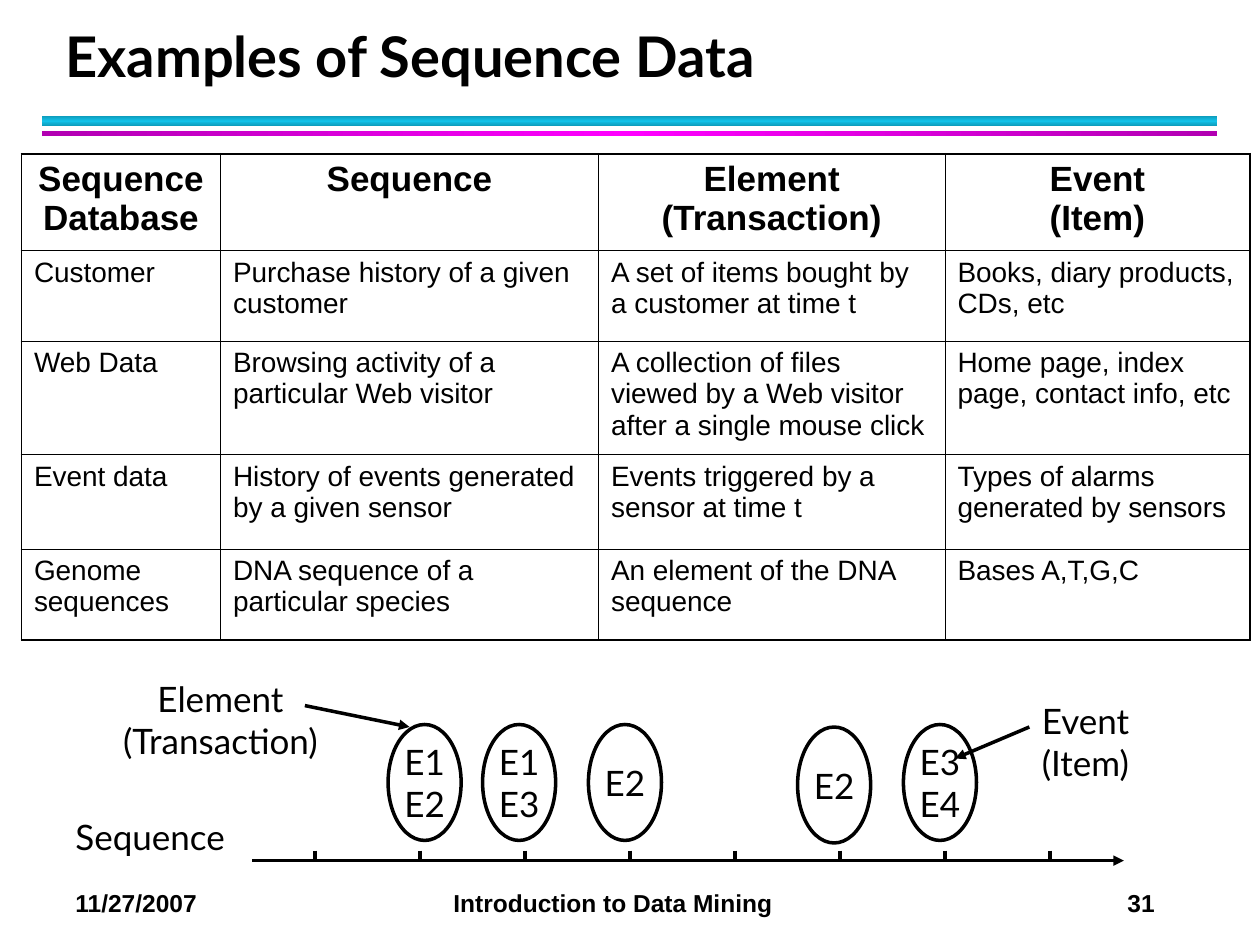
from copy import deepcopy

from lxml import etree
from pptx import Presentation
from pptx.dml.color import RGBColor
from pptx.enum.shapes import MSO_CONNECTOR, MSO_SHAPE
from pptx.enum.text import MSO_ANCHOR, PP_ALIGN
from pptx.oxml.ns import qn
from pptx.util import Inches, Pt

LEFT, CENTER = PP_ALIGN.LEFT, PP_ALIGN.CENTER
TOP, MIDDLE, BOTTOM = MSO_ANCHOR.TOP, MSO_ANCHOR.MIDDLE, MSO_ANCHOR.BOTTOM
BLACK = "000000"
THIN, THICK = 0.45, 1.08

TITLE = "Examples of Sequence Data"
FOOTER = "11/27/2007\tIntroduction to Data Mining\t31"
FOOTER_TABS = (3, 8.35)
BANDS = [
    (0.92, 0.08, 90, ("0E9BBA", "12C2E9", "0E9BBA")),
    (1.04, 0.04, 0, ("B200B2", "FF00FF", "B200B2")),
]
TABLE = [
    ("Sequence Database", "Sequence", "Element (Transaction)", "Event\n(Item)"),
    ("Customer", "Purchase history of a given customer",
     "A set of items bought by a customer at time t", "Books, diary products, CDs, etc"),
    ("Web Data", "Browsing activity of a particular Web visitor",
     "A collection of files viewed by a Web visitor after a single mouse click",
     "Home page, index page, contact info, etc"),
    ("Event data", "History of events generated by a given sensor",
     "Events triggered by a sensor at time t", "Types of alarms generated by sensors"),
    ("Genome sequences", "DNA sequence of a particular species",
     "An element of the DNA sequence", "Bases A,T,G,C"),
]
COL_WIDTHS = (1.58, 3, 2.75, 2.42)
ROW_HEIGHTS = (0.77, 0.72, 0.9, 0.75, 0.72)
LABELS = [
    ("Sequence", (0.5, 6.42, 1.67, 0.44), LEFT),
    ("Element (Transaction)", (0.75, 5.33, 2, 0.77), CENTER),
    ("Event\n(Item)", (8.17, 5.5, 1.08, 0.77), LEFT),
]
ELEMENTS = [
    (3.08, 5.75, "E1\nE2"),
    (3.83, 5.75, "E1\nE3"),
    (4.67, 5.75, "E2"),
    (7.17, 5.75, "E3\nE4"),
    (6.33, 5.77, "E2"),
]
AXIS_Y = 6.83
TICK_START, TICK_STEP, TICK_HEIGHT, TICK_COUNT = 2.5, 5 / 6, 0.08, 8
ARROWS = [
    (2, AXIS_Y, 8.92, AXIS_Y),
    (2.42, 5.6, 3.25, 5.77),
    (8.17, 5.77, 7.58, 6.02),
]


def color(value):
    return RGBColor.from_string(value)


def inches(*values):
    return [Inches(v) for v in values]


def write(tf, text, size=20, font="Lato", bold=False, align=LEFT,
          anchor=TOP, wrap=True, spacing=None, tabs=()):
    tf.word_wrap = wrap
    tf.vertical_anchor = anchor
    p = tf.paragraphs[0]
    p.text = text
    p.alignment = align
    if spacing:
        p.line_spacing = Pt(spacing)
    if tabs:
        tab_list = etree.SubElement(p._p.get_or_add_pPr(), qn("a:tabLst"))
        for pos in tabs:
            etree.SubElement(tab_list, qn("a:tab"), pos=str(Inches(pos)), algn="l")
    for r in p.runs:
        r.font.size = Pt(size)
        r.font.name = font
        r.font.bold = bold
        r.font.color.rgb = color(BLACK)


def add_text(slide, text, box, **style):
    write(slide.shapes.add_textbox(*inches(*box)).text_frame, text, **style)


def add_band(slide, top, height, angle, colors):
    s = slide.shapes.add_shape(MSO_SHAPE.RECTANGLE, *inches(0.33, top, 9.33, height))
    s.shadow.inherit = False
    s.line.fill.background()
    s.fill.gradient()
    s.fill.gradient_angle = angle
    stops = s._element.spPr.find(".//" + qn("a:gsLst"))
    stops.append(deepcopy(stops[-1]))
    for i, (stop, value) in enumerate(zip(s.fill.gradient_stops, colors)):
        stop.position = i / 2
        stop.color.rgb = color(value)


def add_line(slide, x1, y1, x2, y2, arrow=False):
    c = slide.shapes.add_connector(MSO_CONNECTOR.STRAIGHT, *inches(x1, y1, x2, y2))
    c.line.width = Pt(2)
    c.line.color.rgb = color(BLACK)
    if arrow:
        etree.SubElement(c.line._get_or_add_ln(), qn("a:tailEnd"), type="triangle")
    etree.SubElement(c._element.spPr, qn("a:effectLst"))


def add_element(slide, left, top, text):
    s = slide.shapes.add_shape(MSO_SHAPE.OVAL, *inches(left, top, 0.58, 0.92))
    s.shadow.inherit = False
    s.fill.background()
    s.line.color.rgb = color(BLACK)
    s.line.width = Pt(2)
    write(s.text_frame, text, align=CENTER, anchor=MIDDLE, wrap=False)


def set_borders(cell, outer_sides):
    tc_pr = cell._tc.get_or_add_tcPr()
    for side, outer in zip("LRTB", outer_sides):
        ln = etree.SubElement(tc_pr, qn("a:ln" + side), w=str(Pt(THICK if outer else THIN)))
        fill = etree.SubElement(ln, qn("a:solidFill"))
        etree.SubElement(fill, qn("a:srgbClr"), val=BLACK)


def add_data_table(slide):
    rows, cols = len(TABLE), len(COL_WIDTHS)
    box = inches(0.17, 1.22, sum(COL_WIDTHS), sum(ROW_HEIGHTS))
    table = slide.shapes.add_table(rows, cols, *box).table
    table.first_row = table.horz_banding = False
    for column, width in zip(table.columns, COL_WIDTHS):
        column.width = Inches(width)
    for row, height in zip(table.rows, ROW_HEIGHTS):
        row.height = Inches(height)
    for i, texts in enumerate(TABLE):
        header = i == 0
        for j, text in enumerate(texts):
            cell = table.cell(i, j)
            set_borders(cell, (j == 0, j == cols - 1, header, i == rows - 1))
            cell.fill.background()
            write(cell.text_frame, text, size=20 if header else 16, font="Arial",
                  bold=header, align=CENTER if header else LEFT)


def main():
    prs = Presentation()
    prs.slide_width, prs.slide_height = inches(10, 7.5)
    slide = prs.slides.add_slide(prs.slide_layouts[6])
    for band in BANDS:
        add_band(slide, *band)
    add_text(slide, FOOTER, (0.5, 7, 9.33, 0.34), size=14, font="Arial",
             bold=True, tabs=FOOTER_TABS)
    add_text(slide, TITLE, (0.42, 0.17, 9.06, 0.58), size=32, bold=True,
             anchor=BOTTOM, spacing=36)
    add_data_table(slide)
    for i in range(TICK_COUNT):
        x = TICK_START + i * TICK_STEP
        add_line(slide, x, AXIS_Y - TICK_HEIGHT, x, AXIS_Y)
    for element in ELEMENTS:
        add_element(slide, *element)
    for arrow in ARROWS:
        add_line(slide, *arrow, arrow=True)
    for text, box, align in LABELS:
        add_text(slide, text, box, align=align)
    prs.save("out.pptx")


if __name__ == "__main__":
    main()
